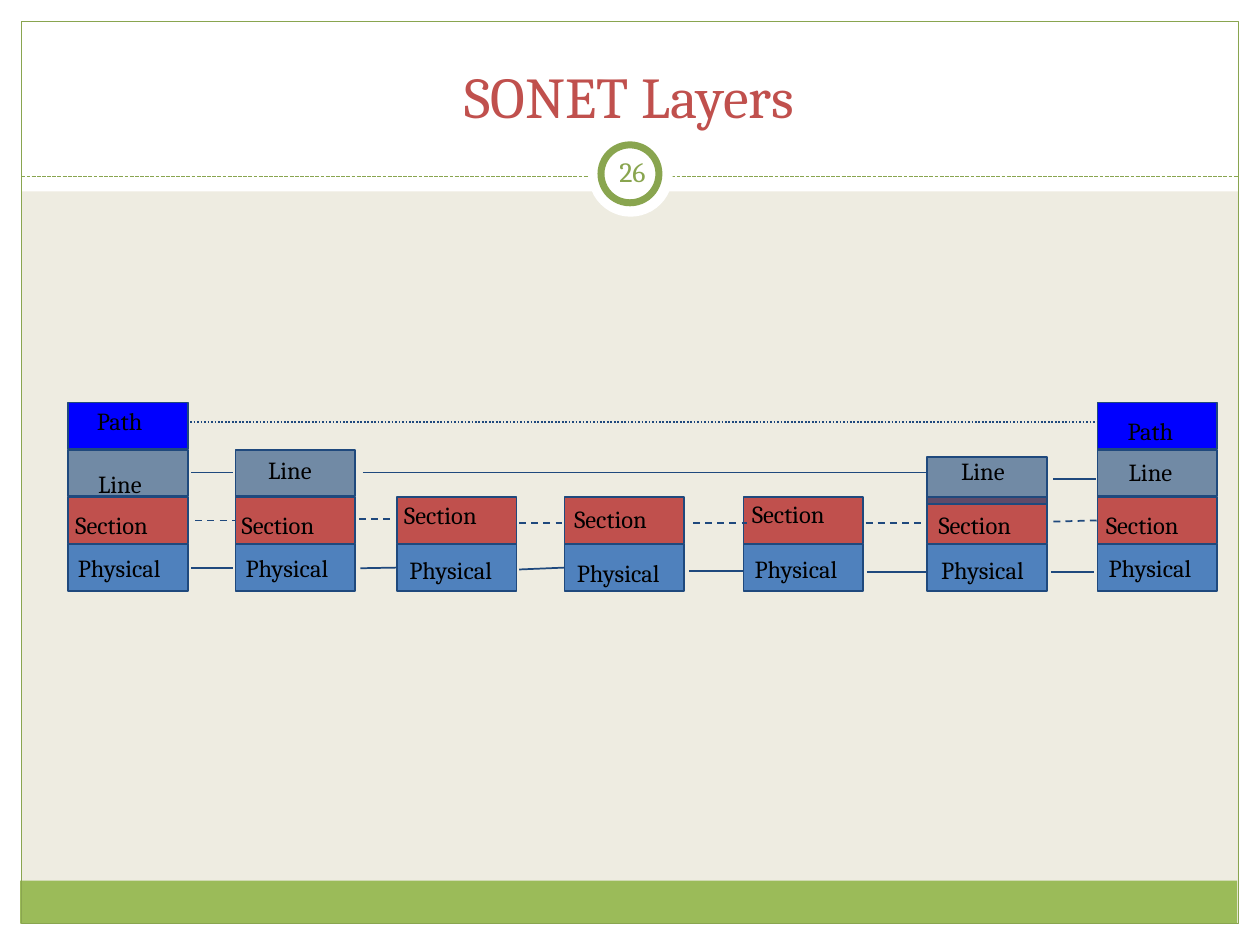
"""Build the SONET layers slide: seven stations of stacked layers joined by links."""
from lxml import etree
from pptx import Presentation
from pptx.dml.color import RGBColor
from pptx.enum.dml import MSO_LINE
from pptx.enum.shapes import MSO_CONNECTOR, MSO_SHAPE
from pptx.enum.text import MSO_ANCHOR, PP_ALIGN
from pptx.oxml.ns import qn
from pptx.util import Inches, Pt

RECT, OVAL = MSO_SHAPE.RECTANGLE, MSO_SHAPE.OVAL
DASH, DOT, FINE_DASH = MSO_LINE.DASH, MSO_LINE.ROUND_DOT, MSO_LINE.SQUARE_DOT
TOP, MIDDLE, BOTTOM = MSO_ANCHOR.TOP, MSO_ANCHOR.MIDDLE, MSO_ANCHOR.BOTTOM
LEFT, CENTER = PP_ALIGN.LEFT, PP_ALIGN.CENTER
WHITE, BLACK = RGBColor(255, 255, 255), RGBColor(0, 0, 0)
CREAM, GREEN = RGBColor(0xEE, 0xEC, 0xE1), RGBColor(0x9B, 0xBB, 0x59)
DARK_GREEN, NAVY = RGBColor(0x89, 0xA5, 0x4F), RGBColor(0x1F, 0x49, 0x7D)
RED, STEEL = RGBColor(0xC0, 0x50, 0x4D), RGBColor(0x4F, 0x81, 0xBD)
BLUE = RGBColor(0, 0, 255)
FONT = "Cambria"

WIDTH, HEIGHT = 10, 7.5
MARGIN = 0.17
BOX_W, BOX_H, PITCH, BASE = 0.95, 0.37, 0.375, 4.32
LABEL_H, NEAR = 0.33, 0.02

LAYERS = [
    ("Physical", STEEL, None, 0.99),
    ("Section", RED, None, 0.91),
    ("Line", NAVY, 60, 0.6),
    ("Path", BLUE, None, 0.62),
]
STATIONS = [
    (0.54, [(0.52, 4.34), (0.5, 4), (0.68, 3.67), (0.67, 3.17)]),
    (1.87, [(1.85, 4.34), (1.82, 4), (2.03, 3.56)]),
    (3.15, [(3.15, 4.36), (3.11, 3.92)]),
    (4.48, [(4.48, 4.38), (4.46, 3.95)]),
    (5.9, [(5.89, 4.35), (5.87, 3.91)]),
    (7.36, [(7.37, 4.36), (7.35, 4), (7.53, 3.57)]),
    (8.71, [(8.7, 4.34), (8.68, 4), (8.86, 3.58), (8.85, 3.25)]),
]
SHIFTED_TOPS = {(7.36, "Line"): 3.63}
LINKS = [
    (None, [(1.52, 1.85, 4.51), (2.86, 3.14, 4.51), (4.12, 4.48, 4.52),
            (5.47, 5.9, 4.53), (6.88, 7.36, 4.54), (8.34, 8.68, 4.54)]),
    (DASH, [(1.55, 1.88, 4.13), (2.85, 3.13, 4.12), (4.12, 4.48, 4.15),
            (5.5, 5.93, 4.15), (6.87, 7.35, 4.15), (8.36, 8.7, 4.14)]),
    (None, [(1.52, 1.85, 3.75), (8.36, 8.7, 3.8), (2.88, 7.35, 3.75)]),
    (DOT, [(1.51, 8.72, 3.35)]),
]
FRAME = [
    (RECT, 0, HEIGHT - MARGIN, WIDTH, MARGIN, WHITE, None, 0),
    (RECT, 0, 0, WIDTH, 1.52, WHITE, None, 0),
    (RECT, 0, 0, MARGIN, HEIGHT, WHITE, None, 0),
    (RECT, WIDTH - MARGIN, 0, MARGIN, HEIGHT, WHITE, None, 0),
    (RECT, 0.16, 6.99, 9.66, 0.34, GREEN, None, 0),
    (RECT, MARGIN, MARGIN, WIDTH - 2 * MARGIN, HEIGHT - 2 * MARGIN, None, DARK_GREEN, 0.75),
]
BADGE = [
    (OVAL, 4.67, 1.05, 0.67, 0.67, WHITE, None, 0),
    (OVAL, 4.77, 1.15, 0.46, 0.46, WHITE, DARK_GREEN, 4),
]


def add_box(s, kind, x, y, w, h, fill, line, weight, alpha=None):
    sp = s.shapes.add_shape(kind, Inches(x), Inches(y), Inches(w), Inches(h))
    sp.shadow.inherit = False
    if fill is None:
        sp.fill.background()
    else:
        sp.fill.solid()
        sp.fill.fore_color.rgb = fill
    if alpha:
        color = sp.fill._xPr.find(qn("a:solidFill"))[0]
        etree.SubElement(color, qn("a:alpha")).set("val", str(alpha * 1000))
    if line is None:
        sp.line.fill.background()
    else:
        sp.line.color.rgb = line
        sp.line.width = Pt(weight)
    return sp


def add_text(s, text, x, y, w, h, size, color, align=LEFT, anchor=TOP, wrap=True, inset=0.1):
    tf = s.shapes.add_textbox(Inches(x), Inches(y), Inches(w), Inches(h)).text_frame
    tf.text = text
    tf.word_wrap = wrap
    tf.vertical_anchor = anchor
    tf.margin_left = tf.margin_right = Inches(inset)
    p = tf.paragraphs[0]
    p.alignment = align
    r = p.runs[0]
    r.font.name, r.font.size = FONT, Pt(size)
    r.font.color.rgb = color


def add_line(s, x1, x2, y, color, weight, dash):
    line = s.shapes.add_connector(
        MSO_CONNECTOR.STRAIGHT, Inches(x1), Inches(y), Inches(x2), Inches(y))
    line.line.color.rgb = color
    line.line.width = Pt(weight)
    if dash:
        line.line.dash_style = dash
    etree.SubElement(line._element.spPr, qn("a:effectLst"))
    return line


def add_station(s, x, labels):
    boxes = []
    for row, (name, fill, alpha, _) in enumerate(LAYERS[:len(labels)]):
        y = SHIFTED_TOPS.get((x, name), BASE - row * PITCH)
        boxes.append(add_box(s, RECT, x, y, BOX_W, BOX_H, fill, NAVY, 1, alpha))
    for (name, _, _, w), (label_x, label_y) in zip(LAYERS, labels):
        add_text(s, name, label_x, label_y, w, LABEL_H, 14, BLACK, wrap=False)
    return boxes


def add_link(s, x1, x2, y, dash, boxes):
    link = add_line(s, x1, x2, y, NAVY, 1, dash)
    for box in boxes:
        level = abs(box.top + box.height / 2 - Inches(y)) < Inches(NEAR)
        if level and abs(box.left - Inches(x2)) < Inches(NEAR):
            link.end_connect(box, 1)


def main():
    prs = Presentation()
    prs.slide_width, prs.slide_height = Inches(WIDTH), Inches(HEIGHT)
    s = prs.slides.add_slide(prs.slide_layouts[6])
    s.background.fill.solid()
    s.background.fill.fore_color.rgb = CREAM

    for part in FRAME:
        add_box(s, *part)
    add_line(s, MARGIN, WIDTH - MARGIN, 1.4, DARK_GREEN, 0.75, FINE_DASH)
    for part in BADGE:
        add_box(s, *part)
    add_text(s, "SONET Layers", 0.33, 0.25, 9.33, 0.83, 33, RED, CENTER, BOTTOM)

    boxes = [box for station in STATIONS for box in add_station(s, *station)]
    for dash, spans in LINKS:
        for span in spans:
            add_link(s, *span, dash, boxes)

    add_text(s, "26", 4.77, 1.12, 0.5, 0.48, 16, DARK_GREEN, CENTER, MIDDLE, inset=0.05)
    prs.save("out.pptx")


if __name__ == "__main__":
    main()
